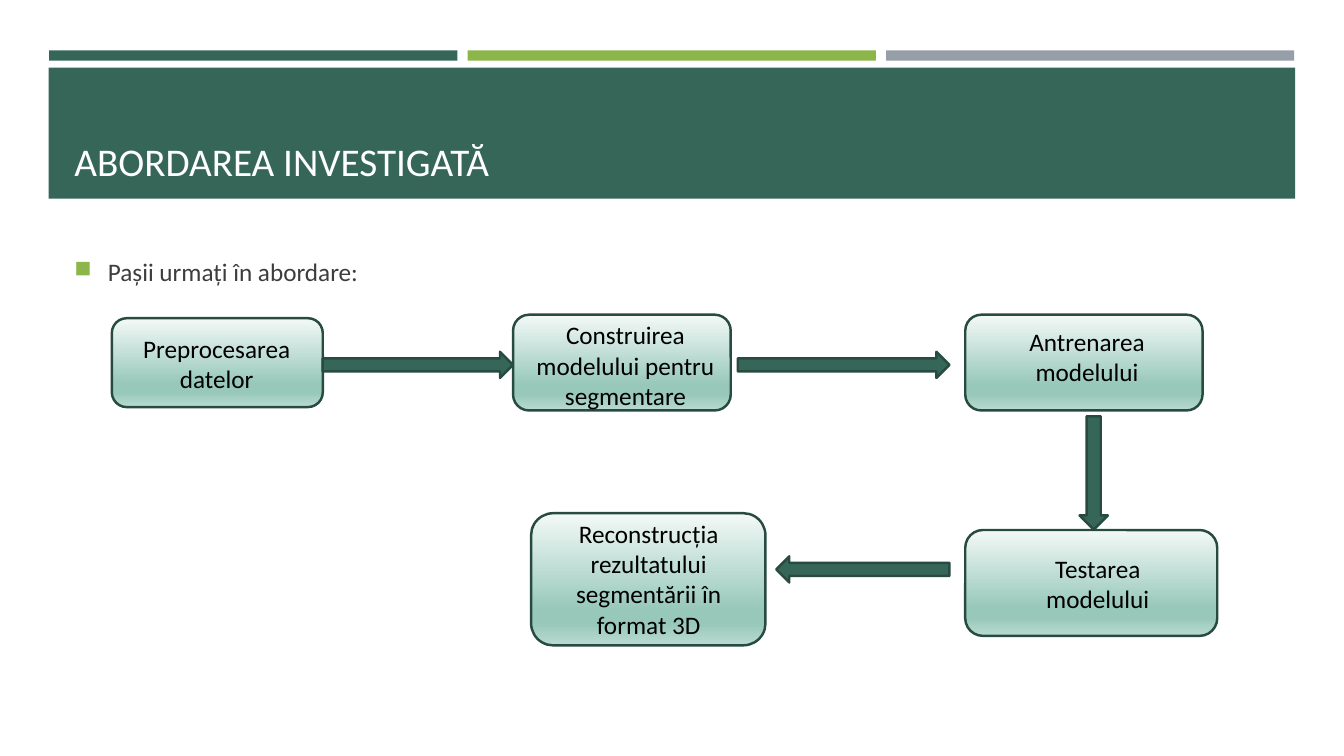
from pptx import Presentation
from pptx.dml.color import RGBColor
from pptx.enum.shapes import MSO_SHAPE
from pptx.enum.text import MSO_ANCHOR, MSO_AUTO_SIZE, PP_ALIGN
from pptx.oxml import parse_xml
from pptx.oxml.ns import nsdecls, qn
from pptx.util import Pt

GREEN = RGBColor(0x36, 0x66, 0x58)
DARK_GREEN = RGBColor(0x28, 0x4B, 0x41)
LIME = RGBColor(0x8C, 0xB6, 0x4A)
GREY = RGBColor(0x96, 0x9F, 0xA7)
WHITE = RGBColor(0xFF, 0xFF, 0xFF)
BLACK = RGBColor(0x00, 0x00, 0x00)
TEXT_GREY = RGBColor(0x3D, 0x3D, 0x3D)
MINT = RGBColor(0x97, 0xC8, 0xBA)
STEP_GRADIENT = [
    (0, RGBColor(0xF3, 0xF9, 0xF7)),
    (74, MINT),
    (83, MINT),
    (100, RGBColor(0xBA, 0xDA, 0xD1)),
]

BAR_LEFT, BAR_PITCH = 35.1, 298.9

# Wording, box (left, top, width, height), label (left, top, width, height)
STEPS = [
    ("Preprocesarea datelor",
     (79.9, 227.3, 150.7, 63.5), (88.6, 234.7, 132.5, 51)),
    ("Construirea modelului pentru segmentare",
     (366.5, 224.8, 155.5, 68.4), (371.5, 224.8, 150.5, 72.7)),
    ("Antrenarea modelului",
     (689.5, 224.8, 169.5, 68.4), (705.6, 229.7, 141.8, 51)),
    ("Testarea modelului",
     (689.5, 378.6, 180, 75.6), (709.2, 391.7, 149.8, 51)),
    ("Reconstrucția rezultatului segmentării în format 3D",
     (379.4, 366.6, 167.4, 94.4), (391.7, 366.6, 143.3, 94.4)),
]
ARROWS = [
    (MSO_SHAPE.RIGHT_ARROW, (230.4, 251.3, 136.1, 18.7)),
    (MSO_SHAPE.RIGHT_ARROW, (527, 251.3, 151.2, 18.7)),
    (MSO_SHAPE.DOWN_ARROW, (771.1, 297.4, 20.2, 80.9)),
    (MSO_SHAPE.LEFT_ARROW, (554.4, 397.4, 123.8, 18.7)),
]


class SlideBuilder:
    font_name = "Calibri"
    body_size = 18
    outline_width = 1.75

    def __init__(self, slide):
        self.slide = slide

    def set_text(self, frame, text, size, color, align):
        frame.word_wrap = True
        frame.text = text
        para = frame.paragraphs[0]
        para.alignment = align
        para.line_spacing = 1.0
        para.font.name = self.font_name
        para.font.size = Pt(size)
        para.font.color.rgb = color
        return para

    def title(self, text, bounds):
        title = self.slide.shapes.title
        title.left, title.top, title.width, title.height = map(Pt, bounds)
        frame = title.text_frame
        frame.auto_size = MSO_AUTO_SIZE.NONE
        frame.vertical_anchor = MSO_ANCHOR.BOTTOM
        self.set_text(frame, text, 28, WHITE, PP_ALIGN.LEFT)
        # Bring the title in front of the band
        self.slide.shapes._spTree.append(title._element)

    def shape(self, kind, bounds, color=None, outlined=False):
        shape = self.slide.shapes.add_shape(kind, *map(Pt, bounds))
        shape.shadow.inherit = False
        if color is not None:
            shape.fill.solid()
            shape.fill.fore_color.rgb = color
        if outlined:
            shape.line.color.rgb = DARK_GREEN
            shape.line.width = Pt(self.outline_width)
        else:
            shape.line.fill.background()
        return shape

    def step_box(self, bounds):
        box = self.shape(MSO_SHAPE.ROUNDED_RECTANGLE, bounds, outlined=True)
        box.fill.gradient()
        box.fill.gradient_angle = 270
        stops = box._element.spPr.find(qn("a:gradFill")).find(qn("a:gsLst"))
        stops.clear()
        for percent, color in STEP_GRADIENT:
            stops.append(parse_xml(
                f'<a:gs {nsdecls("a")} pos="{percent * 1000}">'
                f'<a:srgbClr val="{color}"/></a:gs>'))

    def label(self, text, bounds, color=BLACK, align=PP_ALIGN.CENTER):
        box = self.slide.shapes.add_textbox(*map(Pt, bounds))
        return self.set_text(box.text_frame, text, self.body_size, color, align)

    def bullet(self, text, bounds):
        para = self.label(text, bounds, TEXT_GREY, PP_ALIGN.LEFT)
        properties = para._p.get_or_add_pPr()
        properties.set("marL", str(Pt(24)))
        properties.set("indent", str(-Pt(24)))
        marks = (f'<a:buClr {nsdecls("a")}><a:srgbClr val="{LIME}"/></a:buClr>',
                 f'<a:buSzPct {nsdecls("a")} val="92000"/>',
                 f'<a:buChar {nsdecls("a")} char="■"/>')
        position = list(properties).index(properties.find(qn("a:defRPr")))
        for offset, mark in enumerate(marks):
            properties.insert(position + offset, parse_xml(mark))


def main():
    deck = Presentation()
    deck.slide_width, deck.slide_height = Pt(960), Pt(540)
    builder = SlideBuilder(deck.slides.add_slide(deck.slide_layouts[5]))

    for column, color in enumerate((GREEN, LIME, GREY)):
        left = BAR_LEFT + column * BAR_PITCH
        builder.shape(MSO_SHAPE.RECTANGLE, (left, 36, 291.6, 7.4), color)
    builder.shape(MSO_SHAPE.RECTANGLE, (34.8, 48.4, 890.4, 93.6), GREEN)
    builder.title("ABORDAREA INVESTIGATĂ", (46, 55.4, 868.3, 79.9))
    builder.bullet("Pașii urmați în abordare:", (46, 179.6, 868.3, 29.2))

    for text, box_bounds, label_bounds in STEPS:
        builder.step_box(box_bounds)
        builder.label(text, label_bounds)
    for kind, bounds in ARROWS:
        builder.shape(kind, bounds, GREEN, outlined=True)

    deck.save("out.pptx")


if __name__ == "__main__":
    main()
